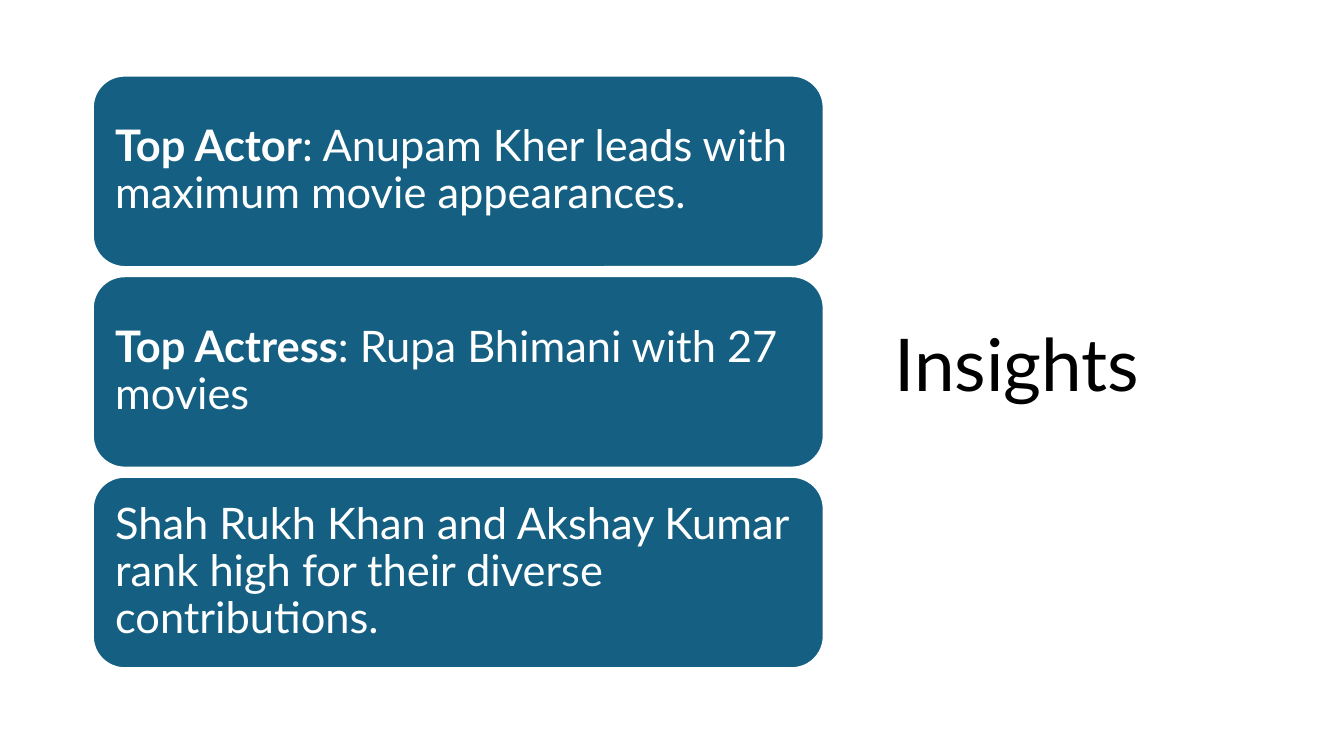
from dataclasses import dataclass

import pptx
import pptx.dml.color
import pptx.enum.shapes
import pptx.enum.text
import pptx.util

Inches = pptx.util.Inches


@dataclass(frozen=True)
class Theme:
    font: str = "Lato"
    title_size: int = 52
    card_size: int = 31
    title_color: str = "000000"
    card_fill: str = "156082"
    card_text: str = "FFFFFF"
    card_line: str = "FFFFFF"
    line_spacing: float = 0.9


def rgb(value):
    return pptx.dml.color.RGBColor.from_string(value)


class SlideBuilder:
    def __init__(self, slide, theme):
        self.slide = slide
        self.theme = theme

    def style(self, paragraph, size, color):
        paragraph.alignment = pptx.enum.text.PP_ALIGN.LEFT
        paragraph.line_spacing = self.theme.line_spacing
        paragraph.font.name = self.theme.font
        paragraph.font.size = pptx.util.Pt(size)
        paragraph.font.color.rgb = rgb(color)

    def title(self, text, left, top, width, height):
        heading = self.slide.shapes.title
        heading.left, heading.top = Inches(left), Inches(top)
        heading.width, heading.height = Inches(width), Inches(height)
        frame = heading.text_frame
        frame.text = text
        frame.word_wrap = True
        frame.auto_size = pptx.enum.text.MSO_AUTO_SIZE.NONE
        frame.vertical_anchor = pptx.enum.text.MSO_ANCHOR.MIDDLE
        self.style(frame.paragraphs[0], self.theme.title_size, self.theme.title_color)

    def card(self, label, text, left, top, width, height):
        card = self.slide.shapes.add_shape(
            pptx.enum.shapes.MSO_SHAPE.ROUNDED_RECTANGLE,
            Inches(left), Inches(top), Inches(width), Inches(height))
        card.shadow.inherit = False
        card.fill.solid()
        card.fill.fore_color.rgb = rgb(self.theme.card_fill)
        card.line.color.rgb = rgb(self.theme.card_line)
        card.line.width = pptx.util.Pt(1.5)

        frame = card.text_frame
        frame.word_wrap = True
        frame.vertical_anchor = pptx.enum.text.MSO_ANCHOR.MIDDLE
        # The rounded corners already inset the text by about 0.09 in
        frame.margin_left = frame.margin_right = Inches(0.13)
        frame.margin_top = frame.margin_bottom = Inches(0.13)
        paragraph = frame.paragraphs[0]
        self.style(paragraph, self.theme.card_size, self.theme.card_text)
        if label:
            label_run = paragraph.add_run()
            label_run.text = label
            label_run.font.bold = True
        paragraph.add_run().text = text


INSIGHTS = [
    ("Top Actor", ": Anupam Kher leads with maximum movie appearances."),
    ("Top Actress", ": Rupa Bhimani with 27 movies"),
    ("", "Shah Rukh Khan and Akshay Kumar rank high for their diverse contributions."),
]
CARD_LEFT, CARD_TOP = 0.92, 0.75
CARD_WIDTH, CARD_HEIGHT = 7.25, 1.9
CARD_PITCH = 1.99


def main():
    presentation = pptx.Presentation()
    presentation.slide_width = Inches(13.33)
    presentation.slide_height = Inches(7.5)
    title_only = presentation.slide_layouts[5]
    builder = SlideBuilder(presentation.slides.add_slide(title_only), Theme())

    # Heading on the right
    builder.title("Insights", 8.77, 0.6, 3.65, 6.1)

    # Stack of insight cards
    for row, (label, text) in enumerate(INSIGHTS):
        builder.card(label, text, CARD_LEFT, CARD_TOP + row * CARD_PITCH,
                     CARD_WIDTH, CARD_HEIGHT)

    presentation.save("out.pptx")


if __name__ == "__main__":
    main()
